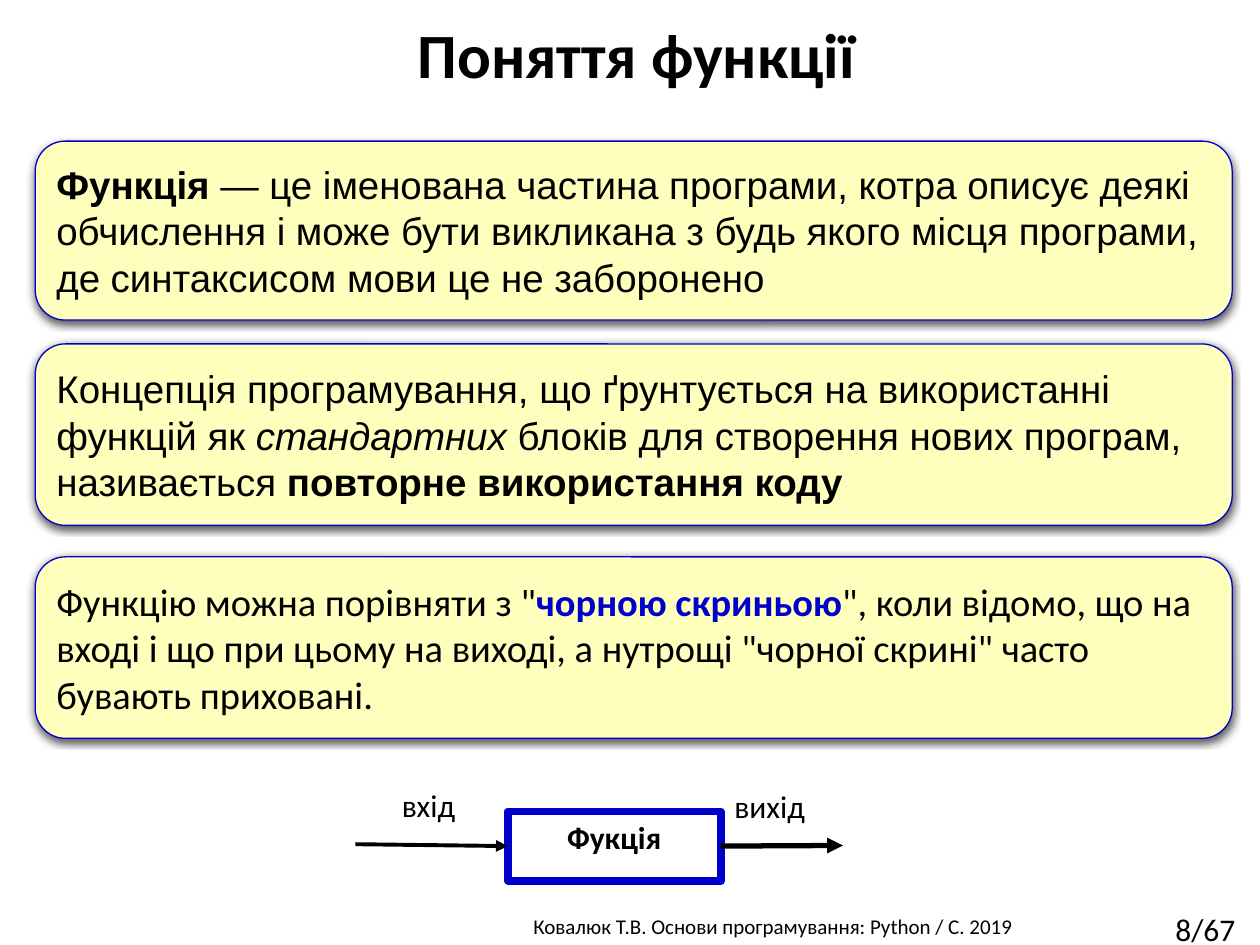
"""Build a slide that explains the notion of a function with three cards and a black-box diagram."""
import pptx
import pptx.dml.color
import pptx.enum.shapes
import pptx.enum.text
import pptx.oxml
import pptx.oxml.ns
import pptx.util

COLORS = {"text": "000000", "accent": "0000CC", "card": "FFFFBD"}
SHAPE = pptx.enum.shapes.MSO_SHAPE
ALIGN = pptx.enum.text.PP_ALIGN
ANCHOR = pptx.enum.text.MSO_ANCHOR
rgb = pptx.dml.color.RGBColor.from_string

prs = pptx.Presentation()
prs.slide_width = pptx.util.Inches(10)
prs.slide_height = pptx.util.Inches(7.5)
s = prs.slides.add_slide(prs.slide_layouts[6])
COL = prs.slide_width / 100
ROW = prs.slide_height / 75


def grid(*cells):
    return [round(n * (ROW if i % 2 else COL)) for i, n in enumerate(cells)]


def write(sp, runs, size=18, font="Calibri", align=ALIGN.LEFT, anchor=ANCHOR.TOP, bold=False):
    tf = sp.text_frame
    tf.word_wrap = True
    tf.vertical_anchor = anchor
    p = tf.paragraphs[0]
    p.alignment = align
    for text, style in [(runs, "")] if isinstance(runs, str) else runs:
        r = p.add_run()
        r.text = text
        r.font.name = font
        r.font.size = pptx.util.Pt(size)
        r.font.bold = bold or "b" in style
        r.font.italic = "i" in style
        r.font.color.rgb = rgb(COLORS["accent" if "accent" in style else "text"])
    return p


SHADOW = (
    f'<a:effectLst {pptx.oxml.ns.nsdecls("a")}>'
    '<a:outerShdw blurRad="57150" dist="19050" dir="5400000" algn="ctr" rotWithShape="0">'
    '<a:srgbClr val="000000"><a:alpha val="63000"/></a:srgbClr></a:outerShdw></a:effectLst>'
)

title = s.shapes.add_textbox(*grid(0, 0, 100, 9.2))
title.text_frame.margin_left = round(2 * COL)
p = write(title, "Поняття функції", size=36, align=ALIGN.CENTER, anchor=ANCHOR.MIDDLE, bold=True)
p.line_spacing = 0.9

cards = [
    (11.2, 14.2, "Arial", [
        ("Функція ", "b"),
        ("— це іменована частина програми, котра описує деякі обчислення і може бути "
         "викликана з будь якого місця програми, де синтаксисом мови це не заборонено", ""),
    ]),
    (27.3, 14.4, "Arial", [
        ("Концепція програмування, що ґрунтується на використанні функцій як ", ""),
        ("стандартних", "i"),
        (" блоків для створення нових програм, називається ", ""),
        ("повторне використання коду", "b"),
    ]),
    (44.2, 14.4, "Calibri", [
        ('Функцію можна порівняти з "', ""),
        ("чорною скриньою", "b accent"),
        ('", коли відомо, що на вході і що при цьому на виході, а нутрощі "чорної скрині" '
         "часто бувають приховані.", ""),
    ]),
]
for top, height, font, runs in cards:
    sp = s.shapes.add_shape(SHAPE.ROUNDED_RECTANGLE, *grid(2.8, top, 95, height))
    sp.fill.solid()
    sp.fill.fore_color.rgb = rgb(COLORS["card"])
    sp.line.color.rgb = rgb(COLORS["accent"])
    sp.line.width = pptx.util.Pt(0.75)
    sp._element.spPr.append(pptx.oxml.parse_xml(SHADOW))
    write(sp, runs, size=22, font=font, anchor=ANCHOR.MIDDLE)

box = s.shapes.add_shape(SHAPE.RECTANGLE, *grid(40.3, 64.4, 16.9, 5.5))
box.shadow.inherit = False
box.fill.background()
box.line.color.rgb = rgb(COLORS["accent"])
box.line.width = pptx.util.Pt(4.5)
write(box, "Фукція", align=ALIGN.CENTER, bold=True)

arrows = [((28.2, 67, 40.3, 67.1), 2.25, "end_connect", 1),
          ((57.2, 67.1, 66.9, 67.1), 3, "begin_connect", 3)]
for ends, width, join, side in arrows:
    c = s.shapes.add_connector(pptx.enum.shapes.MSO_CONNECTOR.STRAIGHT, *grid(*ends))
    getattr(c, join)(box, side)
    c.line.color.rgb = rgb(COLORS["text"])
    c.line.width = pptx.util.Pt(width)
    c.line._get_or_add_ln().append(
        pptx.oxml.parse_xml(f'<a:tailEnd {pptx.oxml.ns.nsdecls("a")} type="triangle"/>'))
    c._element.spPr.append(
        pptx.oxml.parse_xml(f'<a:effectLst {pptx.oxml.ns.nsdecls("a")}/>'))

labels = [
    ("вхід", (30.9, 61.9, 6.8, 5.5), 18, ALIGN.LEFT),
    ("вихід", (57.3, 62, 12, 5.5), 18, ALIGN.LEFT),
    ("Ковалюк Т.В. Основи програмування: Python / C. 2019", (32.9, 72, 56.9, 3), 12, ALIGN.CENTER),
    ("8/67", (92.3, 71.7, 8.5, 4), 18, ALIGN.LEFT),
]
for text, cells, size, align in labels:
    write(s.shapes.add_textbox(*grid(*cells)), text, size=size, align=align)

prs.save("out.pptx")
